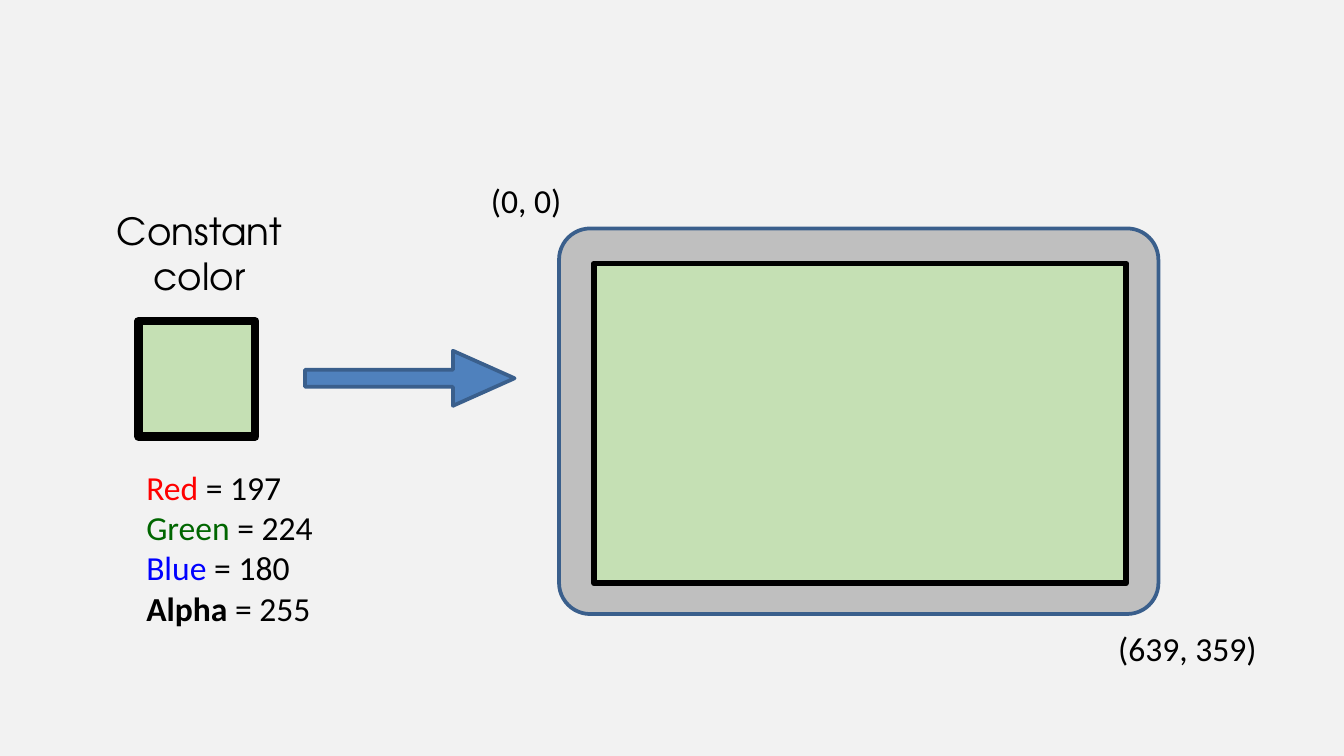
from dataclasses import dataclass
from typing import NamedTuple

from pptx import Presentation
from pptx.dml.color import RGBColor as Rgb
from pptx.enum.shapes import MSO_SHAPE as Kind
from pptx.enum.text import MSO_ANCHOR as Anchor, PP_ALIGN as Align
from pptx.slide import Slide
from pptx.text.text import TextFrame, _Run as Run
from pptx.util import Pt


@dataclass(frozen=True)
class Theme:
    back: str = "F2F2F2"
    ink: str = "000000"
    swatch: str = "C5E0B4"
    bezel: str = "BFBFBF"
    arrow: str = "4F81BD"
    edge: str = "3A5F8C"
    red: str = "FF0000"
    green: str = "006600"
    blue: str = "0000FF"
    body: str = "Calibri"
    head: str = "TeX Gyre Adventor"
    body_size: int = 18
    head_size: int = 20


class Box(NamedTuple):
    left: float
    top: float
    width: float
    height: float


class Figure(NamedTuple):
    kind: Kind
    box: Box
    fill: str
    line: str
    weight: float
    adjust: tuple[float, ...] = ()


class Label(NamedTuple):
    text: str
    box: Box
    font: str
    size: int


class Channel(NamedTuple):
    name: str
    value: int
    color: str
    bold: bool = False


THEME = Theme()

FIGURES = [
    Figure(Kind.ROUNDED_RECTANGLE, Box(299.5, 122.4, 321.1, 206.6),
           THEME.bezel, THEME.edge, 2, (0.081,)),
    Figure(Kind.RECTANGLE, Box(74.2, 172.1, 62.6, 61.9),
           THEME.swatch, THEME.ink, 4.5),
    Figure(Kind.RIGHT_ARROW, Box(163.4, 187.9, 112.3, 29.5),
           THEME.arrow, THEME.edge, 2, (0.31, 1.12)),
    Figure(Kind.RECTANGLE, Box(318.2, 141.1, 285.1, 171.4),
           THEME.swatch, THEME.ink, 3),
]

LABELS = [
    Label("(0, 0)", Box(256.3, 93.6, 51.1, 27.4), THEME.body, THEME.body_size),
    Label("(639, 359)", Box(587.5, 333.4, 97.2, 27.4), THEME.body, THEME.body_size),
    Label("Constant\ncolor", Box(44.6, 108.7, 124.6, 54), THEME.head, THEME.head_size),
]

CHANNELS = [
    Channel("Red", 197, THEME.red),
    Channel("Green", 224, THEME.green),
    Channel("Blue", 180, THEME.blue),
    Channel("Alpha", 255, THEME.ink, True),
]
VALUES_BOX = Box(73.4, 247, 155.5, 92.9)


def draw_figure(slide: Slide, fig: Figure) -> None:
    shape = slide.shapes.add_shape(fig.kind, *map(Pt, fig.box))
    shape.shadow.inherit = False
    shape.fill.solid()
    shape.fill.fore_color.rgb = Rgb.from_string(fig.fill)
    shape.line.color.rgb = Rgb.from_string(fig.line)
    shape.line.width = Pt(fig.weight)
    for i, value in enumerate(fig.adjust):
        shape.adjustments[i] = value


def add_frame(slide: Slide, box: Box) -> TextFrame:
    frame = slide.shapes.add_textbox(*map(Pt, box)).text_frame
    frame.word_wrap = True
    frame.vertical_anchor = Anchor.TOP
    frame.margin_left = frame.margin_right = Pt(5)
    frame.margin_top = frame.margin_bottom = Pt(3)
    return frame


def style_run(run: Run, font: str, size: int, color: str, bold: bool = False) -> None:
    run.font.name = font
    run.font.size = Pt(size)
    run.font.bold = bold
    run.font.color.rgb = Rgb.from_string(color)


def draw_label(slide: Slide, label: Label) -> None:
    frame = add_frame(slide, label.box)
    frame.text = label.text
    for para in frame.paragraphs:
        para.alignment = Align.CENTER
        style_run(para.runs[0], label.font, label.size, THEME.ink)


def draw_values(slide: Slide, box: Box, channels: list[Channel]) -> None:
    """List the channels, each with its name in its own colour."""
    frame = add_frame(slide, box)
    frame.text = "\n".join(c.name for c in channels)
    for para, chan in zip(frame.paragraphs, channels):
        style_run(para.runs[0], THEME.body, THEME.body_size, chan.color, chan.bold)
        tail = para.add_run()
        tail.text = f" = {chan.value}"
        style_run(tail, THEME.body, THEME.body_size, THEME.ink)


def main() -> None:
    deck = Presentation()
    deck.slide_width, deck.slide_height = Pt(720), Pt(405)
    slide = deck.slides.add_slide(deck.slide_layouts[6])
    slide.background.fill.solid()
    slide.background.fill.fore_color.rgb = Rgb.from_string(THEME.back)
    for fig in FIGURES:
        draw_figure(slide, fig)
    for label in LABELS:
        draw_label(slide, label)
    draw_values(slide, VALUES_BOX, CHANNELS)
    deck.save("out.pptx")


if __name__ == "__main__":
    main()
